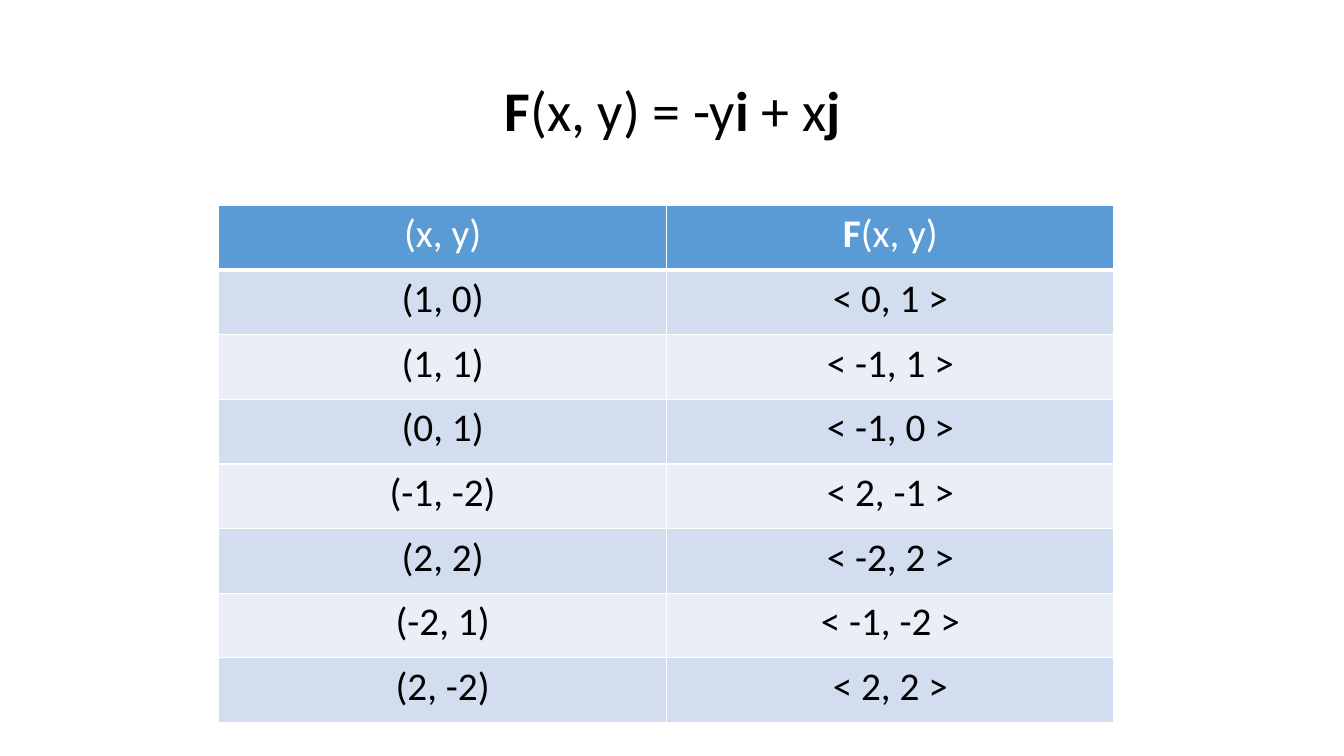
import pptx
import pptx.dml.color
import pptx.enum.text
import pptx.oxml
import pptx.oxml.ns
import pptx.util

Inches = pptx.util.Inches

# Each text is a list of (words, bold) runs.
TITLE = [("F", True), ("(x, y) = -y", False), ("i ", True), ("+ x", False), ("j", True)]
HEADER = [[("(x, y)", False)], [("F", True), ("(x, y)", False)]]
VECTORS = [
    ("(1, 0)", "< 0, 1 >"),
    ("(1, 1)", "< -1, 1 >"),
    ("(0, 1)", "< -1, 0 >"),
    ("(-1, -2)", "< 2, -1 >"),
    ("(2, 2)", "< -2, 2 >"),
    ("(-2, 1)", "< -1, -2 >"),
    ("(2, -2)", "< 2, 2 >"),
]
FONT = "Calibri"
BLACK, WHITE = "000000", "FFFFFF"
HEADER_FILL = "5B9BD5"
BAND_FILLS = ["D2DEEF", "EAEFF7"]
TITLE_BOX = {"left": 0.92, "top": 0.4, "width": 11.5, "height": 1.45}
TABLE_BOX = {"left": 2.17, "top": 2.04, "width": 8.88, "height": 5.13}


def rgb(color):
    return pptx.dml.color.RGBColor.from_string(color)


def write_runs(paragraph, runs, size, color):
    paragraph.alignment = pptx.enum.text.PP_ALIGN.CENTER
    for words, bold in runs:
        run = paragraph.add_run()
        run.text = words
        formats = {"name": FONT, "size": pptx.util.Pt(size), "bold": bold}
        for name, value in formats.items():
            setattr(run.font, name, value)
        run.font.color.rgb = rgb(color)


def add_border(cell, side, points):
    """Draw one white cell border; side is L, R, T or B."""
    width = pptx.util.Pt(points)
    cell_properties = cell._tc.get_or_add_tcPr()
    cell_properties.append(pptx.oxml.parse_xml(
        f'<a:ln{side} {pptx.oxml.ns.nsdecls("a")} w="{width}"><a:solidFill>'
        f'<a:srgbClr val="{WHITE}"/></a:solidFill></a:ln{side}>'))


def add_title(slide):
    title = slide.shapes.title
    for name, value in TITLE_BOX.items():
        setattr(title, name, Inches(value))
    frame = title.text_frame
    frame.auto_size = pptx.enum.text.MSO_AUTO_SIZE.NONE
    frame.vertical_anchor = pptx.enum.text.MSO_ANCHOR.MIDDLE
    frame.paragraphs[0].line_spacing = 0.9
    write_runs(frame.paragraphs[0], TITLE, 40, BLACK)


def add_vector_table(slide):
    rows = [HEADER] + [[[(words, False)] for words in pair] for pair in VECTORS]
    box = {name: Inches(value) for name, value in TABLE_BOX.items()}
    table = slide.shapes.add_table(len(rows), len(HEADER), **box).table
    for row_index, row in enumerate(rows):
        is_header = row_index == 0
        fill = HEADER_FILL if is_header else BAND_FILLS[(row_index - 1) % 2]
        borders = {"L": 1, "R": 1, "T": 3 if row_index == 1 else 1, "B": 3 if is_header else 1}
        for column_index, runs in enumerate(row):
            cell = table.cell(row_index, column_index)
            for side, points in borders.items():
                add_border(cell, side, points)
            cell.fill.solid()
            cell.fill.fore_color.rgb = rgb(fill)
            write_runs(cell.text_frame.paragraphs[0], runs, 28, WHITE if is_header else BLACK)


def main():
    presentation = pptx.Presentation()
    presentation.slide_width = Inches(13.33)
    presentation.slide_height = Inches(7.5)
    slide = presentation.slides.add_slide(presentation.slide_layouts.get_by_name("Title Only"))
    add_title(slide)
    add_vector_table(slide)
    presentation.save("out.pptx")


if __name__ == "__main__":
    main()
